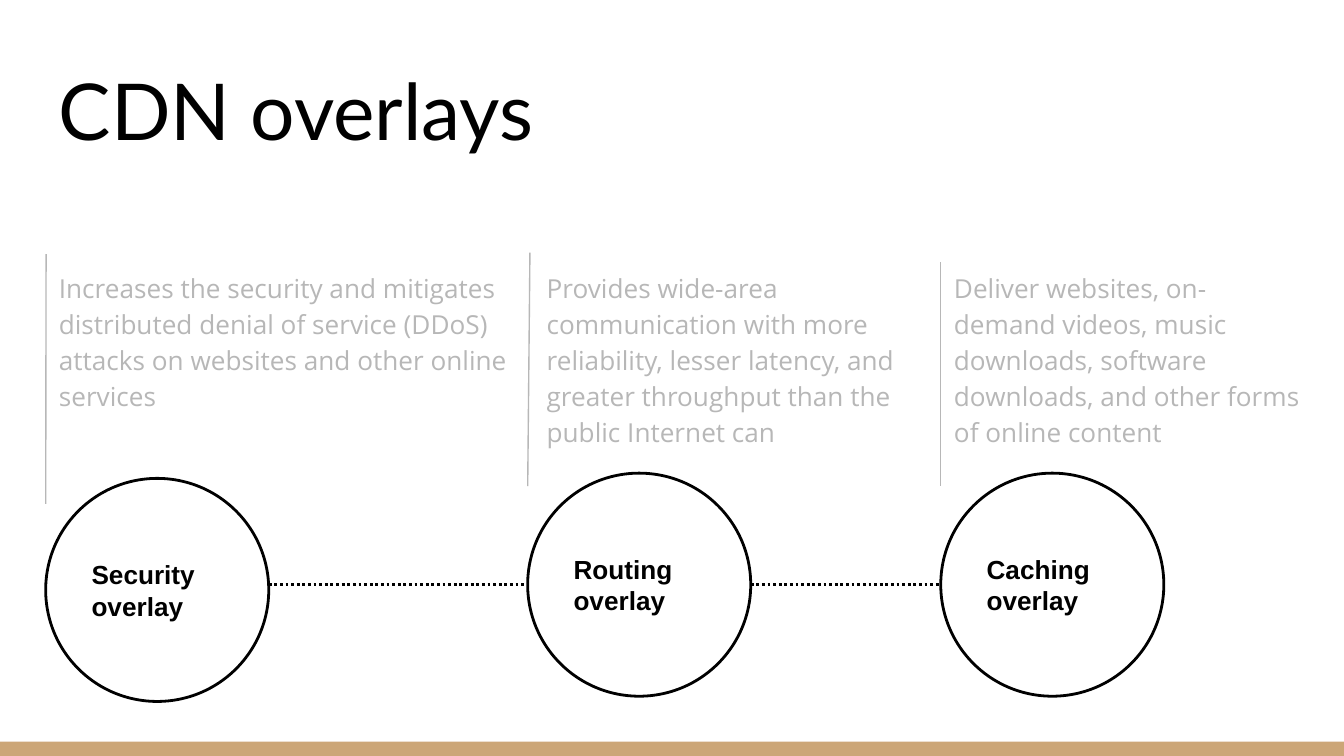
from dataclasses import dataclass
from itertools import pairwise

from lxml import etree
from pptx import Presentation
from pptx.dml.color import RGBColor
from pptx.enum.dml import MSO_LINE
from pptx.enum.shapes import MSO_CONNECTOR, MSO_SHAPE
from pptx.enum.text import MSO_ANCHOR, PP_ALIGN
from pptx.oxml.ns import qn
from pptx.util import Pt

STRAIGHT = MSO_CONNECTOR.STRAIGHT
OVAL, RECTANGLE = MSO_SHAPE.OVAL, MSO_SHAPE.RECTANGLE
TOP, MIDDLE, BOTTOM = MSO_ANCHOR.TOP, MSO_ANCHOR.MIDDLE, MSO_ANCHOR.BOTTOM
LEFT = PP_ALIGN.LEFT
DOTTED = MSO_LINE.ROUND_DOT


@dataclass(frozen=True)
class Theme:
    ink: RGBColor = RGBColor(0x00, 0x00, 0x00)
    paper: RGBColor = RGBColor(0xFF, 0xFF, 0xFF)
    muted: RGBColor = RGBColor(0xB7, 0xB7, 0xB7)
    accent: RGBColor = RGBColor(0xCC, 0xA6, 0x77)
    title_font: str = "Lato"
    body_font: str = "Open Sans"
    label_font: str = "Arial"
    title_size: float = 42
    text_size: float = 14
    inset: float = 7.2
    thin: float = 0.75
    thick: float = 1.5


THEME = Theme()
WIDTH, HEIGHT = 720, 405
DIAMETER = 119.5
CONNECTOR_Y = 313.2
DESCRIPTION_TOP, DESCRIPTION_HEIGHT = 136.2, 45

# label, description, circle (left, top), text (left, width), rule (start, end)
OVERLAYS = [
    ("Security overlay",
     "Increases the security and mitigates distributed denial of service "
     "(DDoS) attacks on websites and other online services",
     (24.5, 256.3), (24.5, 257), ((24.7, 136.2), (24.5, 270))),
    ("Routing overlay",
     "Provides wide-area communication with more reliability, lesser latency, "
     "and greater throughput than the public Internet can",
     (282.7, 253.5), (285.8, 219), ((283.9, 135.4), (282.7, 260.5))),
    ("Caching overlay",
     "Deliver websites, on-demand videos, music downloads, software "
     "downloads, and other forms of online content",
     (504, 253.5), (504, 203.8), ((504, 140.4), (504, 260.5))),
]


def write_text(shape, text, *, font, size, color, bold=False, anchor=TOP,
               line_spacing=None, space_after=0):
    frame = shape.text_frame
    frame.word_wrap = True
    frame.vertical_anchor = anchor
    frame.margin_left = frame.margin_right = Pt(THEME.inset)
    frame.margin_top = frame.margin_bottom = Pt(THEME.inset)
    paragraph = frame.paragraphs[0]
    paragraph.alignment = LEFT
    paragraph.space_after = Pt(space_after)
    if line_spacing:
        paragraph.line_spacing = line_spacing
    run = paragraph.add_run()
    run.text = text
    run.font.name = font
    run.font.size = Pt(size)
    run.font.bold = bold
    run.font.color.rgb = color


def add_textbox(slide, box, text, **text_format):
    shape = slide.shapes.add_textbox(*map(Pt, box))
    write_text(shape, text, **text_format)


def add_line(slide, start, end, color, width, dash=None):
    line = slide.shapes.add_connector(STRAIGHT, *map(Pt, start + end))
    line.line.color.rgb = color
    line.line.width = Pt(width)
    if dash:
        line.line.dash_style = dash
    properties = line.element.find(qn("p:spPr"))
    etree.SubElement(properties, qn("a:effectLst"))


def add_filled_shape(slide, kind, box, fill):
    shape = slide.shapes.add_shape(kind, *map(Pt, box))
    shape.shadow.inherit = False
    shape.fill.solid()
    shape.fill.fore_color.rgb = fill
    shape.line.fill.background()
    return shape


def add_title(slide, box):
    add_textbox(slide, box, "CDN overlays", font=THEME.title_font,
                size=THEME.title_size, color=THEME.ink, anchor=BOTTOM)


def add_description(slide, box, text, rule):
    add_line(slide, *rule, THEME.muted, THEME.thin)
    add_textbox(slide, box, text, font=THEME.body_font, size=THEME.text_size,
                color=THEME.muted, line_spacing=1.15, space_after=16)


def add_circle(slide, box, label):
    circle = add_filled_shape(slide, OVAL, box, THEME.paper)
    circle.line.color.rgb = THEME.ink
    circle.line.width = Pt(THEME.thick)
    write_text(circle, label, font=THEME.label_font, size=THEME.text_size,
               color=THEME.ink, bold=True, anchor=MIDDLE)


def build_overlay_slide(slide, box):
    left, top, width, height = box
    # Footer band and title
    add_filled_shape(slide, RECTANGLE, (left, top + height - 7.6, width, 7.6),
                     THEME.accent)
    add_title(slide, (left + 24.5, top + 25.2, width - 49, 65.5))

    # Dotted links between neighbouring circles
    circle_lefts = [left + circle[0] for _, _, circle, _, _ in OVERLAYS]
    for current, following in pairwise(circle_lefts):
        add_line(slide, (current + DIAMETER, top + CONNECTOR_Y),
                 (following, top + CONNECTOR_Y),
                 THEME.ink, THEME.thick, DOTTED)

    # Description and circle for each overlay
    for label, description, circle, (text_left, text_width), rule in OVERLAYS:
        placed_rule = [(left + x, top + y) for x, y in rule]
        add_description(slide, (left + text_left, top + DESCRIPTION_TOP,
                                text_width, DESCRIPTION_HEIGHT),
                        description, placed_rule)
        add_circle(slide, (left + circle[0], top + circle[1],
                           DIAMETER, DIAMETER), label)


def main():
    presentation = Presentation()
    presentation.slide_width = Pt(WIDTH)
    presentation.slide_height = Pt(HEIGHT)
    slide = presentation.slides.add_slide(presentation.slide_layouts[6])
    slide.background.fill.solid()
    slide.background.fill.fore_color.rgb = THEME.paper
    build_overlay_slide(slide, (0, 0, WIDTH, HEIGHT))
    presentation.save("out.pptx")


if __name__ == "__main__":
    main()
